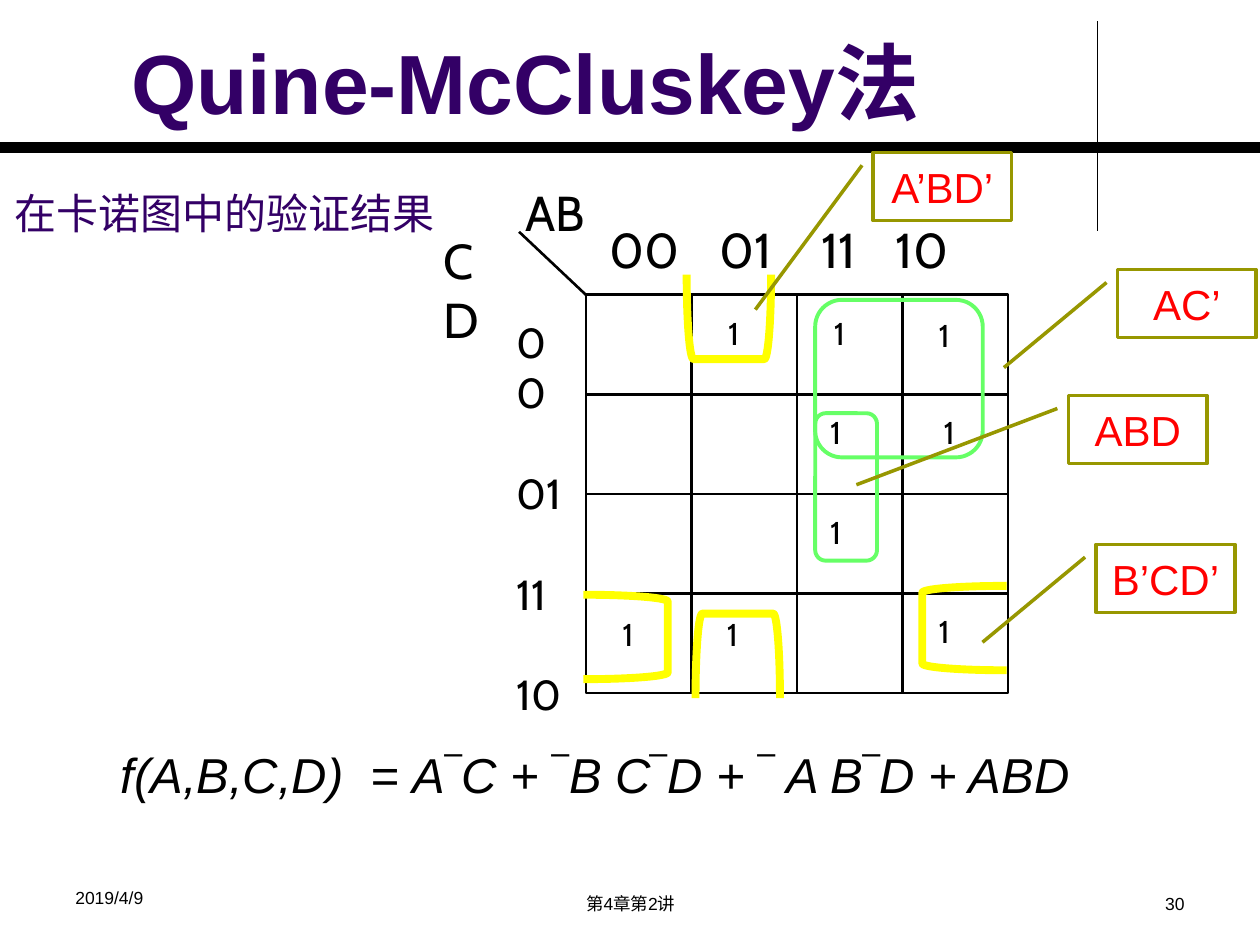
"""Build the Quine-McCluskey slide with its Karnaugh map check."""
import pptx
import pptx.util
import pptx.dml.color
import pptx.enum.shapes
import pptx.enum.text
import pptx.oxml.ns
from lxml import etree

COLORS = {"ink": "000000", "title": "330066", "term": "FF0000", "callout": "979700",
          "group": "66FF66", "bracket": "FFFF00"}
Inches = pptx.util.Inches
SHAPE = pptx.enum.shapes.MSO_SHAPE
ALIGN = pptx.enum.text.PP_ALIGN
ANCHOR = pptx.enum.text.MSO_ANCHOR
GRID_X, GRID_Y, GRID_W, GRID_H = 4.65, 2.34, 3.35, 3.16


def rgb(name):
    return pptx.dml.color.RGBColor.from_string(COLORS[name])


def add_run(p, text, size, color="ink", font="Arial", bold=False, italic=False):
    r = p.add_run()
    r.text = text
    r.font.size = pptx.util.Pt(size)
    r.font.name = font
    r.font.bold = bold
    r.font.italic = italic
    r.font.color.rgb = rgb(color)


def add_text(s, box, size, text="", align=ALIGN.LEFT, **style):
    tf = s.shapes.add_textbox(*map(Inches, box)).text_frame
    tf.word_wrap = True
    p = tf.paragraphs[0]
    p.alignment = align
    if text:
        add_run(p, text, size, **style)
    return tf


def add_line(s, x1, y1, x2, y2, width=1.5):
    line = s.shapes.add_connector(pptx.enum.shapes.MSO_CONNECTOR.STRAIGHT,
                                  *map(Inches, (x1, y1, x2, y2)))
    line.line.color.rgb = rgb("ink")
    line.line.width = pptx.util.Pt(width)
    etree.SubElement(line._element.spPr, pptx.oxml.ns.qn("a:effectLst"))


def add_outline(s, kind, box, color, width, adjustments=(), rotation=0):
    sp = s.shapes.add_shape(kind, *map(Inches, box))
    sp.shadow.inherit = False
    sp.fill.background()
    sp.line.color.rgb = rgb(color)
    sp.line.width = pptx.util.Pt(width)
    sp.rotation = rotation
    for i, value in enumerate(adjustments):
        sp.adjustments[i] = value
    return sp


def add_callout(s, x, y, text, tip_y, tip_x):
    sp = add_outline(s, SHAPE.LINE_CALLOUT_1, (x, y, 1.1, 0.54), "callout", 2,
                     (0.19, -0.08, tip_y, tip_x))
    tf = sp.text_frame
    tf.vertical_anchor = ANCHOR.MIDDLE
    tf.margin_left = tf.margin_right = Inches(0.05)
    p = tf.paragraphs[0]
    p.alignment = ALIGN.CENTER
    add_run(p, text, 24, "term")


def add_title(s):
    title = s.shapes.title
    title.left, title.top, title.width, title.height = map(Inches, (0.94, 0.05, 8.65, 1.04))
    tf = title.text_frame
    tf.auto_size = pptx.enum.text.MSO_AUTO_SIZE.NONE
    tf.vertical_anchor = ANCHOR.BOTTOM
    p = tf.paragraphs[0]
    p.alignment = ALIGN.LEFT
    add_run(p, "Quine-McCluskey法", 48, "title", bold=True)


def add_column_labels(s):
    tf = add_text(s, (4.74, 1.69, 3.39, 0.57), 28, "00\t01\t11\t10", font="Cabin")
    tabs = etree.SubElement(tf.paragraphs[0]._p.get_or_add_pPr(), pptx.oxml.ns.qn("a:tabLst"))
    for stop in (0.87, 1.68, 2.27):
        etree.SubElement(tabs, pptx.oxml.ns.qn("a:tab"), pos=str(Inches(stop)), algn="l")


def add_row_labels(s):
    tf = add_text(s, (4, 2.46, 0.57, 2.93), 24, "00", font="Cabin")
    for label in ("01", "11", "10"):
        p = tf.add_paragraph()
        p.space_before = pptx.util.Pt(28.8)
        add_run(p, label, 24, font="Cabin")


def add_map(s):
    add_text(s, (4.07, 1.4, 0.67, 0.57), 28, "AB", font="Cabin")
    add_text(s, (3.42, 1.78, 0.7, 0.57), 28, "CD", font="Cabin")
    add_column_labels(s)
    add_row_labels(s)
    add_outline(s, SHAPE.RECTANGLE, (GRID_X, GRID_Y, GRID_W, GRID_H), "ink", 1.5)
    for i in (1, 2, 3):
        x, y = GRID_X + i * GRID_W / 4, GRID_Y + i * GRID_H / 4
        add_line(s, x, GRID_Y, x, GRID_Y + GRID_H)
        add_line(s, GRID_X, y, GRID_X + GRID_W, y)
    add_line(s, GRID_X, GRID_Y, 4.12, 1.84)
    for x, y in ((5.68, 2.44), (6.52, 2.44), (7.35, 2.46), (6.49, 3.23), (7.39, 3.23),
                 (6.49, 4.02), (4.84, 4.83), (5.67, 4.83), (7.35, 4.81)):
        add_text(s, (x, y, 0.41, 0.5), 18, "1", font="Cabin")


def add_groupings(s):
    for box in ((6.47, 3.28, 0.49, 1.17), (6.47, 2.38, 1.33, 1.25)):
        add_outline(s, SHAPE.ROUNDED_RECTANGLE, box, "group", 2.25, (0.17,))
    for x, y, rotation in ((5.45, 2.18, 270), (5.52, 4.87, 90), (4.63, 4.72, 180), (7.32, 4.65, 0)):
        add_outline(s, SHAPE.LEFT_BRACKET, (x, y, 0.67, 0.67), "bracket", 4.5, (0.08,), rotation)


def main():
    prs = pptx.Presentation()
    prs.slide_width, prs.slide_height = Inches(10), Inches(7.5)
    s = prs.slides.add_slide(prs.slide_layouts[5])
    add_line(s, 8.71, 0.17, 8.71, 1.83, 0.75)
    add_line(s, 0, 1.17, 10, 1.17, 6)
    add_text(s, (0.5, 6.99, 2.33, 0.34), 10, "2019/4/9")
    add_text(s, (3.42, 7.04, 3.17, 0.29), 10, "第4章第2讲", ALIGN.CENTER)
    add_text(s, (7.17, 7.04, 2.33, 0.29), 10, "30", ALIGN.RIGHT)
    add_title(s)
    add_text(s, (0.02, 1.44, 3.75, 0.5), 24, "在卡诺图中的验证结果", color="title")
    add_map(s)
    add_groupings(s)
    for callout in ((8.48, 3.14, "ABD", 1.31, -1.53), (8.87, 2.14, "AC’", 1.44, -0.82),
                    (6.93, 1.21, "A’BD’", 2.31, -0.85), (8.7, 4.32, "B’CD’", 1.44, -0.82)):
        add_callout(s, *callout)
    p = add_text(s, (0.86, 5.86, 8.17, 0.57), 28).paragraphs[0]
    add_run(p, "f(A,B,C,D) ", 28, italic=True)
    add_run(p, " = ", 28)
    add_run(p, "A‾C + ‾B C‾D + ‾ A B‾D + ABD", 28, italic=True)
    prs.save("out.pptx")


if __name__ == "__main__":
    main()
